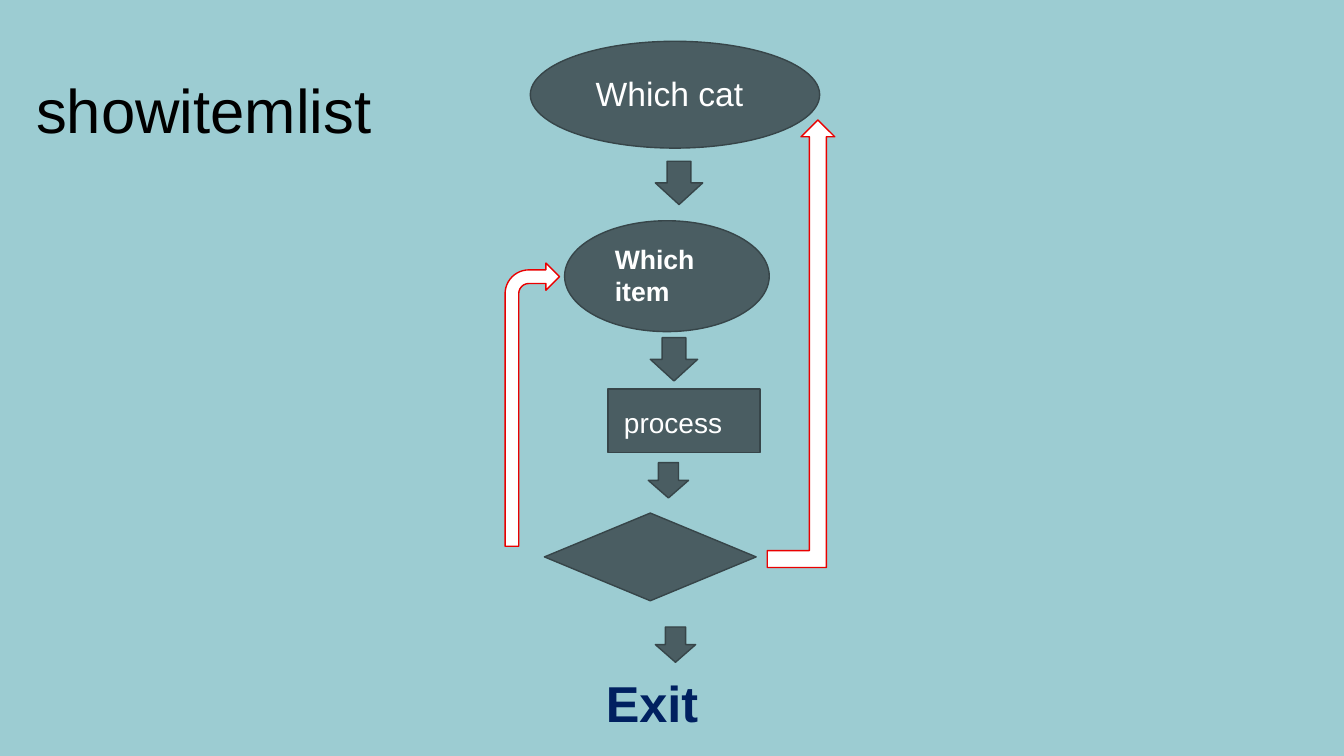
from dataclasses import dataclass

from pptx import Presentation
from pptx.dml.color import RGBColor
from pptx.enum.shapes import MSO_SHAPE
from pptx.enum.text import MSO_AUTO_SIZE
from pptx.util import Inches, Pt

OVAL = MSO_SHAPE.OVAL
RECT = MSO_SHAPE.RECTANGLE
DIAMOND = MSO_SHAPE.DIAMOND
DOWN = MSO_SHAPE.DOWN_ARROW
BENT = MSO_SHAPE.BENT_ARROW
BENT_UP = MSO_SHAPE.BENT_UP_ARROW
GROW = MSO_AUTO_SIZE.SHAPE_TO_FIT_TEXT

WIDTH, HEIGHT = Inches(13.33), Inches(7.5)
COLS, ROWS = 133.3, 75


@dataclass(frozen=True)
class Theme:
    font: str = "Arial"
    back: str = "9CCCD2"
    slate: str = "4A5D62"
    edge: str = "374549"
    white: str = "FFFFFF"
    red: str = "EA0000"
    navy: str = "002060"
    black: str = "000000"
    title: int = 44
    final: int = 36
    large: int = 24
    body: int = 20
    small: int = 19
    stroke: int = 1


THEME = Theme()
BIG = (4.7, 4.3)
LITTLE = (4, 3.5)


def color(code):
    return RGBColor.from_string(code)


def place(col, row, wide, high):
    across, down = WIDTH / COLS, HEIGHT / ROWS
    return [round(n) for n in (col * across, row * down, wide * across, high * down)]


def add_node(slide, kind, cell, fill=THEME.slate, edge=THEME.edge):
    node = slide.shapes.add_shape(kind, *place(*cell))
    node.shadow.inherit = False
    node.fill.solid()
    node.fill.fore_color.rgb = color(fill)
    node.line.color.rgb = color(edge)
    node.line.width = Pt(THEME.stroke)


def add_text(slide, text, cell, size, ink=THEME.white, bold=False):
    frame = slide.shapes.add_textbox(*place(*cell)).text_frame
    frame.word_wrap = True
    frame.auto_size = GROW
    run = frame.paragraphs[0].add_run()
    run.text = text
    font = run.font
    font.name = THEME.font
    font.size = Pt(size)
    font.bold = bold
    font.color.rgb = color(ink)


def add_steps(slide):
    add_node(slide, OVAL, (52.6, 4.1, 28.7, 10.6))
    add_node(slide, OVAL, (56, 21.9, 20.3, 11))
    add_node(slide, RECT, (60.3, 38.6, 15.1, 6.3))
    add_node(slide, DIAMOND, (54, 50.9, 21, 8.7))


def add_arrows(slide):
    for col, row, size in (
        (65, 16, BIG),
        (64.5, 33.5, BIG),
        (64.3, 45.9, LITTLE),
        (65, 62.2, LITTLE),
    ):
        add_node(slide, DOWN, (col, row, *size))
    for kind, cell in (
        (BENT_UP, (76.1, 11.9, 6.7, 44.4)),
        (BENT, (50.1, 26.1, 5.4, 28.1)),
    ):
        add_node(slide, kind, cell, fill=THEME.white, edge=THEME.red)


def add_labels(slide):
    add_text(slide, "showitemlist", (2.6, 6.6, 46.1, 8.4), THEME.title, ink=THEME.black)
    add_text(slide, "Which cat", (58.1, 6.7, 24.9, 5), THEME.large)
    add_text(slide, "Which item", (60, 23.6, 15.1, 7.4), THEME.small, bold=True)
    add_text(slide, "process", (60.9, 39.7, 14, 4.4), THEME.body)
    add_text(slide, "Exit", (59.1, 66.2, 26.8, 7.1), THEME.final, ink=THEME.navy, bold=True)


def main():
    deck = Presentation()
    deck.slide_width, deck.slide_height = WIDTH, HEIGHT
    slide = deck.slides.add_slide(deck.slide_layouts[6])
    slide.background.fill.solid()
    slide.background.fill.fore_color.rgb = color(THEME.back)
    add_steps(slide)
    add_arrows(slide)
    add_labels(slide)
    deck.save("out.pptx")


if __name__ == "__main__":
    main()
